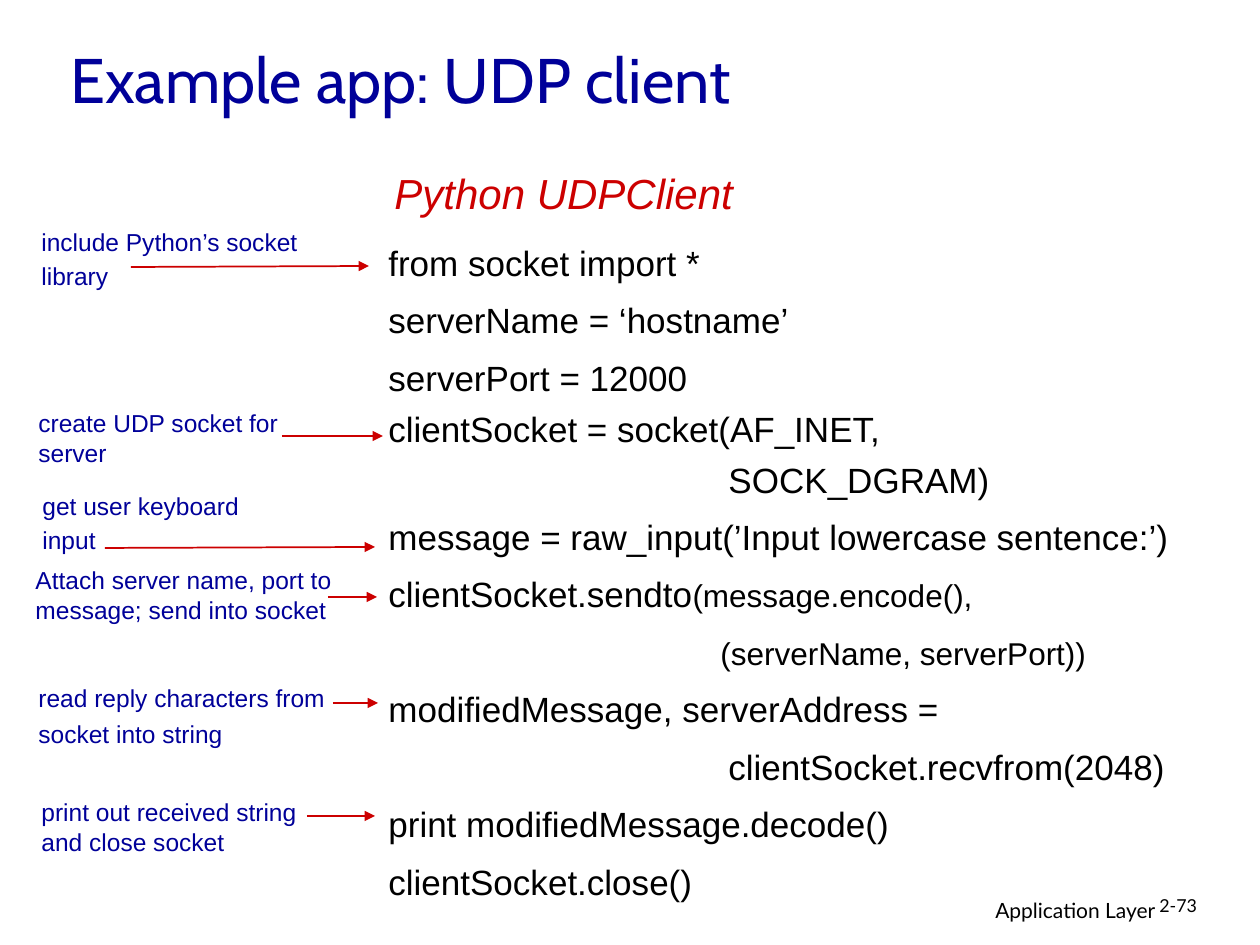
from dataclasses import dataclass
from lxml import etree
from pptx import Presentation
from pptx import util as u
from pptx.dml.color import RGBColor
from pptx.enum import shapes, text
from pptx.oxml.ns import qn


@dataclass(frozen=True)
class Theme:
    blue: str = "000099"
    red: str = "CC0000"
    black: str = "000000"
    body_font: str = "Arial"
    title_font: str = "Cabin"
    footer_font: str = "Lato"
    title: float = 36
    heading: float = 24
    code: float = 20
    code_small: float = 18
    note: float = 14
    footer: float = 12
    number: float = 10.2


theme = Theme()
SCALE = 914400 / 126


def px(*values):
    return [u.Emu(round(value * SCALE)) for value in values]


def add_text(parent, box, paragraphs, name, size, color, grow=True, italic=False):
    shape = parent.add_textbox(*px(*box))
    frame = shape.text_frame
    frame.word_wrap = True
    frame.auto_size = text.MSO_AUTO_SIZE.SHAPE_TO_FIT_TEXT if grow else text.MSO_AUTO_SIZE.NONE
    for index, (runs, formats) in enumerate(paragraphs):
        paragraph = frame.paragraphs[0] if index == 0 else frame.add_paragraph()
        for key, value in formats.items():
            if index or key != "space_before":
                setattr(paragraph, key, value)
        for content, run_size in runs:
            run = paragraph.add_run()
            run.text = content
            values = {"name": name, "size": u.Pt(run_size or size), "italic": italic}
            for key, value in values.items():
                setattr(run.font, key, value)
            run.font.color.rgb = RGBColor.from_string(color)
    return shape


presentation = Presentation()
presentation.slide_width, presentation.slide_height = px(1260, 945)
slide = presentation.slides.add_slide(presentation.slide_layouts[6])

add_text(slide.shapes, (769, 891, 399, 39),
         [([("Application Layer", None)], {"alignment": text.PP_ALIGN.RIGHT})],
         theme.footer_font, theme.footer, theme.black, grow=False)
add_text(slide.shapes, (1147, 891, 93, 38), [([("2-73", None)], {"line_spacing": 0.9})],
         theme.footer_font, theme.number, theme.black, grow=False)
title = add_text(slide.shapes, (58, 13, 1071, 131), [([("Example app: UDP client", None)], {})],
                 theme.title_font, theme.title, theme.blue, grow=False)
title.text_frame.vertical_anchor = text.MSO_ANCHOR.MIDDLE

normal = {"line_spacing": u.Pt(28), "space_before": u.Pt(5)}
tight = {"line_spacing": u.Pt(24), "space_before": u.Pt(5)}
send = {"line_spacing": u.Pt(28), "space_before": u.Pt(4.5)}
code = [
    ([("from socket import *", None)], normal),
    ([("serverName = ‘hostname’", None)], normal),
    ([("serverPort = 12000", None)], normal),
    ([("clientSocket = socket(AF_INET,", None)], tight),
    ([("                                   SOCK_DGRAM)", None)], tight),
    ([("message = raw_input(’Input lowercase sentence:’)", None)], normal),
    ([("clientSocket.sendto", None), ("(message.encode(),", theme.code_small)], send),
    ([("                                      (serverName, serverPort))", theme.code_small)], send),
    ([("modifiedMessage, serverAddress =", None)], normal),
    ([("                                   clientSocket.recvfrom(2048)", None)], normal),
    ([("print modifiedMessage.decode()", None)], normal),
    ([("clientSocket.close()", None)], normal),
]
add_text(slide.shapes, (376, 228, 816, 680), code,
         theme.body_font, theme.code, theme.black)
add_text(slide.shapes, (382, 161, 374, 63), [([("Python UDPClient", None)], {})],
         theme.body_font, theme.heading, theme.red, italic=True)

loose = {"space_before": u.Pt(3.5)}
fixed = {"line_spacing": u.Pt(16), **loose}
notes = [
    ((29, 222, 289, 76), ["include Python’s socket", "library"], fixed, (131, 267, 369, 266)),
    ((26, 402, 312, 72), ["create UDP socket for server"], loose, (282, 436, 383, 436)),
    ((30, 486, 232, 76), ["get user keyboard", "input"], fixed, (105, 548, 375, 547)),
    ((23, 559, 324, 72), ["Attach server name, port to message; send into socket"], loose,
     (328, 597, 377, 597)),
    ((29, 791, 324, 72), ["print out received string and close socket"], loose,
     (307, 816, 375, 816)),
    ((26, 677, 324, 78), ["read reply characters from", "socket into string"], loose,
     (333, 703, 378, 703)),
]
for box, lines, formats, ends in notes:
    group = slide.shapes.add_group_shape()
    add_text(group.shapes, box, [([(line, None)], formats) for line in lines],
             theme.body_font, theme.note, theme.blue)
    arrow = group.shapes.add_connector(shapes.MSO_CONNECTOR.STRAIGHT, *px(*ends))
    arrow.line.width = u.Pt(1)
    arrow.line.color.rgb = RGBColor.from_string(theme.red)
    etree.SubElement(arrow.line._get_or_add_ln(), qn("a:tailEnd"), type="triangle")
    etree.SubElement(arrow._element.spPr, qn("a:effectLst"))

presentation.save("out.pptx")
